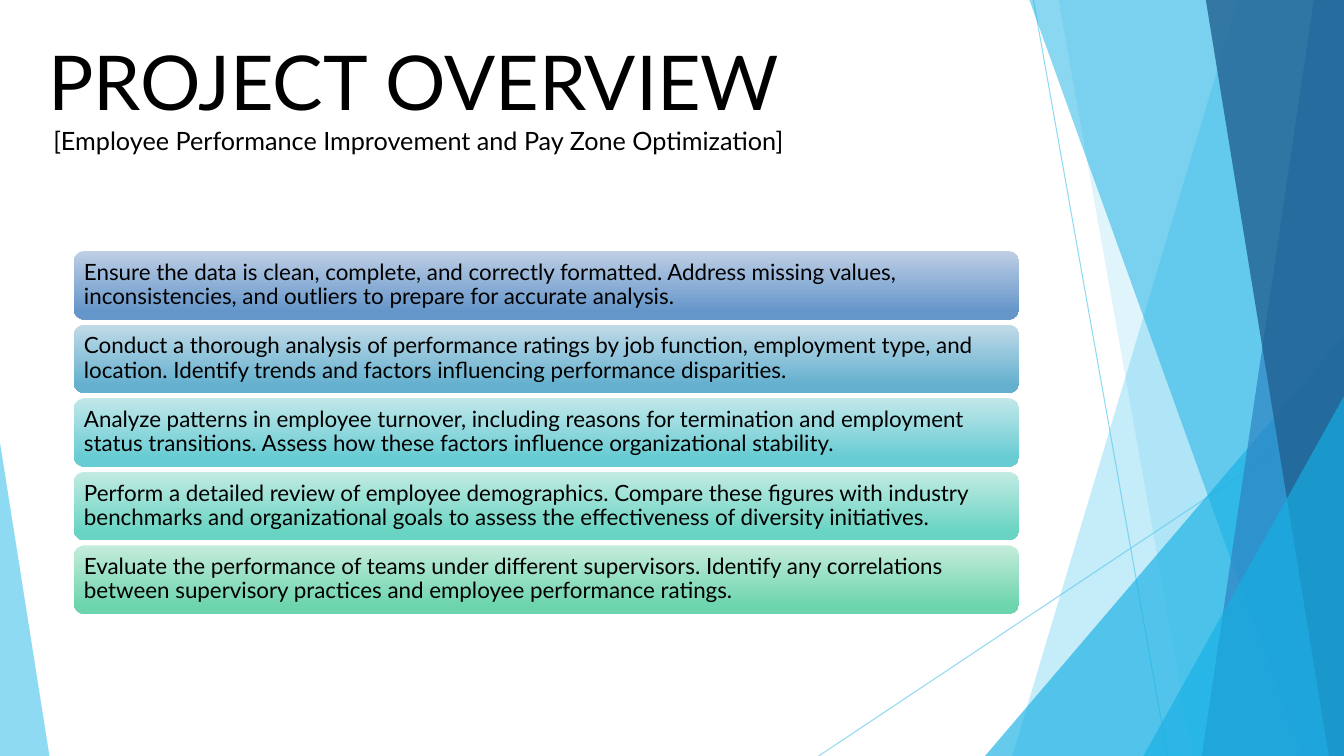
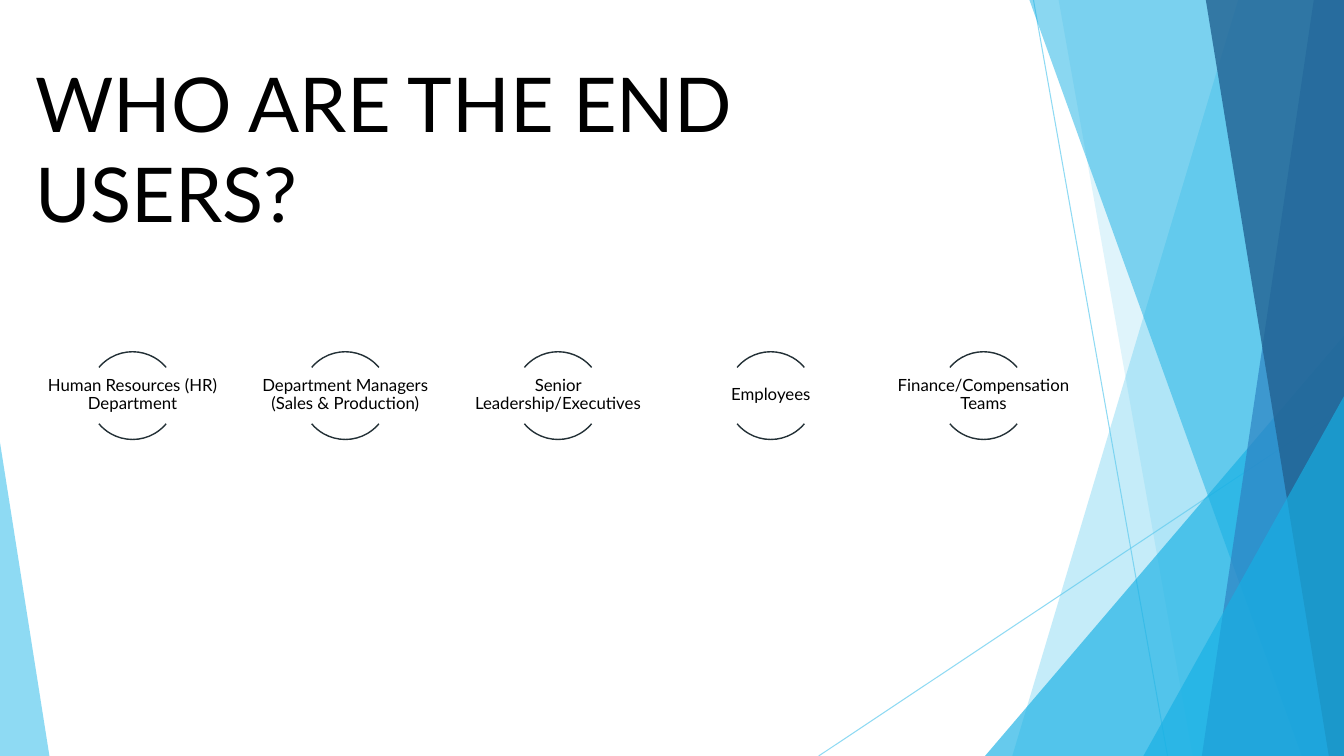
from lxml import etree
from pptx import Presentation
from pptx.dml.color import RGBColor
from pptx.enum import shapes, text
from pptx.oxml import ns
from pptx.util import Inches, Pt

WIDTH, HEIGHT = 13.33, 7.5
FONT = "Lato"
BLACK, ARC_COLOUR = "000000", "233036"
SKY, CYAN, BLUE, NAVY = "5FCBEF", "17B0E4", "2E83C3", "226292"

GOALS = [
    ("Ensure the data is clean, complete, and correctly formatted. Address missing values, "
     "inconsistencies, and outliers to prepare for accurate analysis.", "BFCFE5", "6596CA"),
    ("Conduct a thorough analysis of performance ratings by job function, employment type, and "
     "location. Identify trends and factors influencing performance disparities.", "C1DBE8", "65B0CF"),
    ("Analyze patterns in employee turnover, including reasons for termination and employment "
     "status transitions. Assess how these factors influence organizational stability.",
     "C2E7EA", "67CCD3"),
    ("Perform a detailed review of employee demographics. Compare these figures with industry "
     "benchmarks and organizational goals to assess the effectiveness of diversity initiatives.",
     "C3EBE3", "69D4C3"),
    ("Evaluate the performance of teams under different supervisors. Identify any correlations "
     "between supervisory practices and employee performance ratings.", "C5ECDB", "6DD5AE"),
]
END_USERS = [
    "Human Resources (HR) Department",
    "Department Managers (Sales & Production)",
    "Senior Leadership/Executives",
    "Employees",
    "Finance/Compensation Teams",
]


def colour(value):
    return RGBColor.from_string(value)


def place(shape, left, top, width, height):
    shape.left, shape.top = Inches(left), Inches(top)
    shape.width, shape.height = Inches(width), Inches(height)


def set_alpha(properties, percent):
    """Make every solid colour below the given element partly transparent."""
    for node in properties.iter(ns.qn("a:srgbClr")):
        etree.SubElement(node, ns.qn("a:alpha")).set("val", str(percent * 1000))


def fill_facet(shape, value, alpha):
    shape.shadow.inherit = False
    shape.fill.solid()
    shape.fill.fore_color.rgb = colour(value)
    shape.line.fill.background()
    set_alpha(shape.element.spPr, alpha)


def add_triangle(slide, left, top, width, height, apex, value, alpha):
    triangle = slide.shapes.add_shape(
        shapes.MSO_SHAPE.ISOSCELES_TRIANGLE,
        Inches(left), Inches(top), Inches(width), Inches(height))
    triangle.adjustments[0] = apex
    fill_facet(triangle, value, alpha)


def add_facet(slide, top_left, bottom_left, value, alpha):
    """Draw a full-height facet that runs from a slanted edge to the right of the slide."""
    builder = slide.shapes.build_freeform(Inches(top_left), 0)
    corners = [(WIDTH, 0), (WIDTH, HEIGHT), (bottom_left, HEIGHT)]
    builder.add_line_segments([(Inches(x), Inches(y)) for x, y in corners])
    fill_facet(builder.convert_to_shape(), value, alpha)


def add_thin_line(slide, *ends):
    line = slide.shapes.add_connector(
        shapes.MSO_CONNECTOR.STRAIGHT, *[Inches(end) for end in ends])
    line.line.color.rgb = colour(SKY)
    line.line.width = Pt(0.75)
    properties = line.element.spPr
    set_alpha(properties, 70)
    etree.SubElement(properties, ns.qn("a:effectLst"))


def decorate_layout(layout, slide):
    """Draw the facets on a slide, then move them to the layout all slides share."""
    add_thin_line(slide, 10.25, 0, 11.58, HEIGHT)
    add_thin_line(slide, WIDTH, 4.03, 8.12, HEIGHT)
    add_facet(slide, 12.28, 10.04, SKY, 36)
    add_facet(slide, 10.5, 11.83, SKY, 20)
    add_triangle(slide, 9.77, 3.33, 3.56, 4.17, 1, CYAN, 66)
    add_facet(slide, 10.21, 12.91, CYAN, 50)
    add_facet(slide, 13.03, 11.92, BLUE, 70)
    add_facet(slide, 11.96, 13.18, NAVY, 80)
    add_triangle(slide, 11.34, 3.93, 1.99, 3.57, 1, CYAN, 66)
    add_triangle(slide, 0, 4.39, 0.49, 3.11, 0, SKY, 70)
    facets = [shape for shape in slide.shapes if not shape.is_placeholder]
    for number, facet in enumerate(facets, start=100):
        facet.element.xpath(".//p:cNvPr")[0].set("id", str(number))
        layout.shapes.element.append(facet.element)


def write(shape, content, size, align=text.PP_ALIGN.LEFT, anchor=text.MSO_ANCHOR.TOP,
          inset=None, spacing=1.0):
    frame = shape.text_frame
    frame.word_wrap = True
    frame.auto_size = text.MSO_AUTO_SIZE.NONE
    frame.vertical_anchor = anchor
    if inset is not None:
        frame.margin_left = frame.margin_right = Inches(inset)
        frame.margin_top = frame.margin_bottom = Inches(inset)
    paragraph = frame.paragraphs[0]
    paragraph.alignment = align
    paragraph.line_spacing = spacing
    run = paragraph.add_run()
    run.text = content
    run.font.name = FONT
    run.font.size = Pt(size)
    run.font.color.rgb = colour(BLACK)


def set_title(slide, content, left, top, width):
    place(slide.shapes.title, left, top, width, 1.01)
    write(slide.shapes.title, content, 54)


def add_text(slide, content, left, top, width, height, size, **style):
    box = slide.shapes.add_textbox(Inches(left), Inches(top), Inches(width), Inches(height))
    write(box, content, size, **style)


def add_goal_bar(slide, top, content, light, dark):
    bar = slide.shapes.add_shape(
        shapes.MSO_SHAPE.ROUNDED_RECTANGLE,
        Inches(0.73), Inches(top), Inches(9.38), Inches(0.68))
    bar.shadow.inherit = False
    bar.line.fill.background()
    bar.fill.gradient()
    bar.fill.gradient_angle = 270
    for stop, value, position in zip(bar.fill.gradient_stops, (light, dark), (0, 0.88)):
        stop.color.rgb = colour(value)
        stop.position = position
    write(bar, content, 16, anchor=text.MSO_ANCHOR.MIDDLE, inset=0.07, spacing=0.9)


def add_arc(slide, left, top, size, start, end):
    """Draw part of a circle between two angles, in degrees clockwise from the right."""
    arc = slide.shapes.add_shape(
        shapes.MSO_SHAPE.ARC, Inches(left), Inches(top), Inches(size), Inches(size))
    # An angle is stored in 60000ths of a degree, an adjustment in 100000ths.
    arc.adjustments[0], arc.adjustments[1] = start * 0.6, end * 0.6
    arc.shadow.inherit = False
    arc.fill.background()
    arc.line.color.rgb = colour(ARC_COLOUR)
    arc.line.width = Pt(1)


def add_end_user(slide, left, content):
    for start, end in ((220, 320), (40, 140)):
        add_arc(slide, left + 0.44, 3.49, 0.87, start, end)
    add_text(slide, content, left, 3.64, 1.75, 0.56, 12, align=text.PP_ALIGN.CENTER,
             anchor=text.MSO_ANCHOR.MIDDLE, inset=0.01, spacing=0.9)


def build_overview(slide):
    set_title(slide, "PROJECT OVERVIEW", 0.38, 0.3, 7.81)
    add_text(slide, "[Employee Performance Improvement and Pay Zone Optimization]",
             0.43, 1.19, 7.91, 0.4, 18)
    for index, goal in enumerate(GOALS):
        add_goal_bar(slide, 2.49 + index * 0.73, *goal)


def build_end_users(slide):
    set_title(slide, "WHO ARE THE END USERS?", 0.25, 0.51, 9.7)
    for index, user in enumerate(END_USERS):
        add_end_user(slide, 0.44 + index * 2.11, user)


def main():
    presentation = Presentation()
    presentation.slide_width, presentation.slide_height = Inches(WIDTH), Inches(HEIGHT)
    layout = presentation.slide_layouts.get_by_name("Title Only")
    overview = presentation.slides.add_slide(layout)
    decorate_layout(layout, overview)
    build_overview(overview)
    build_end_users(presentation.slides.add_slide(layout))
    presentation.save("out.pptx")


if __name__ == "__main__":
    main()
